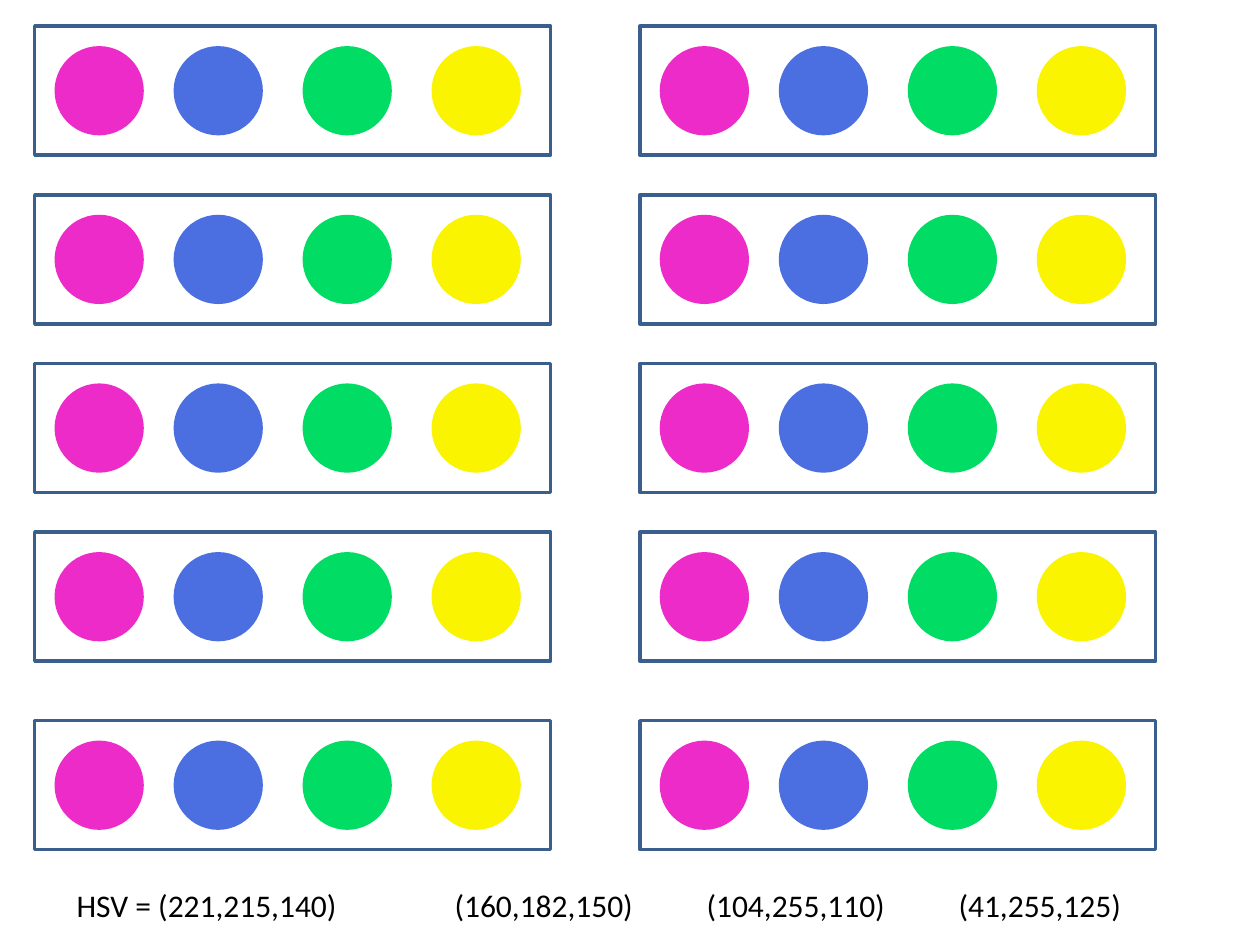
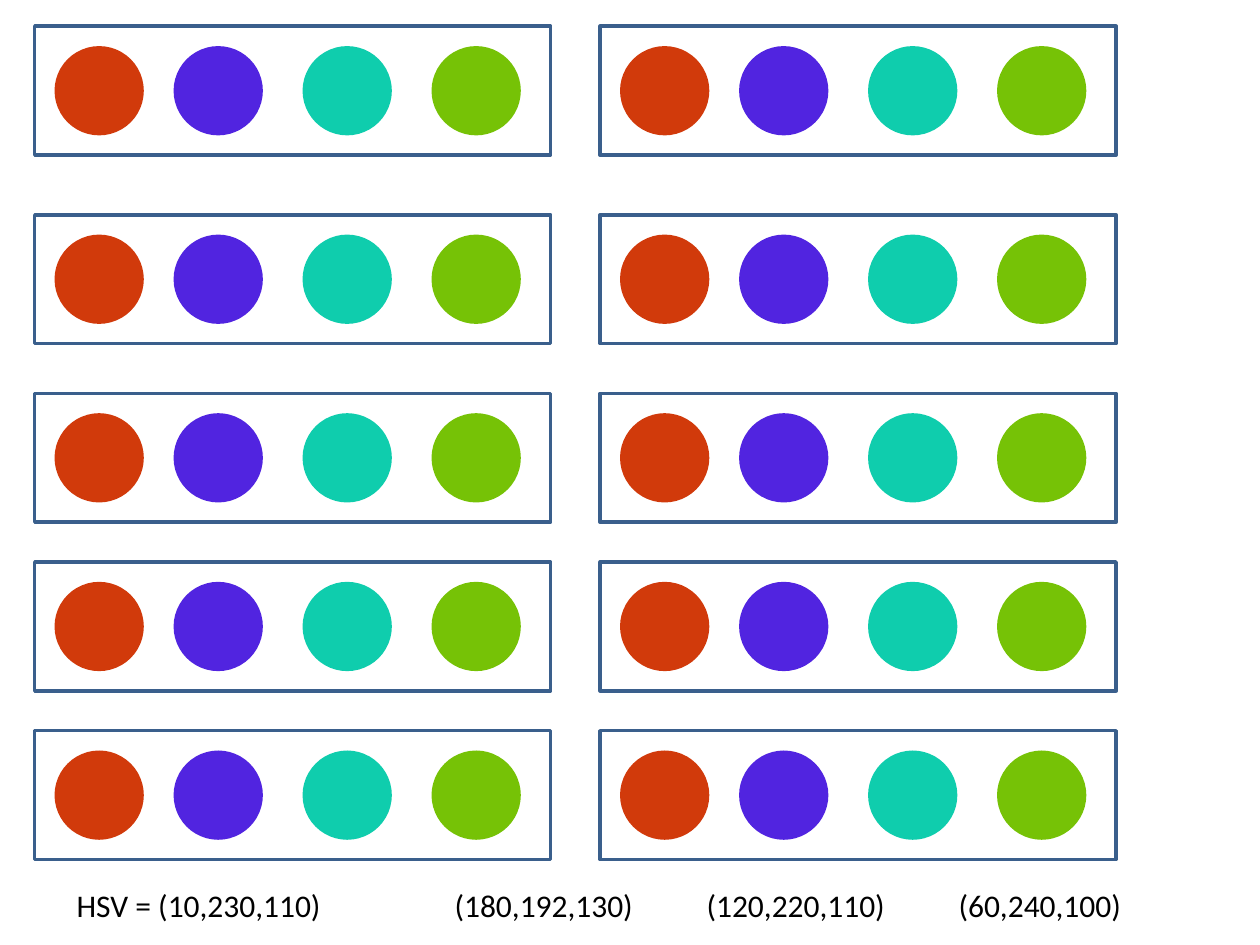
"""Builds two sheets of colour strips, each with the HSV values of its four dots."""
from pptx import Presentation
from pptx.dml.color import RGBColor
from pptx.enum.shapes import MSO_SHAPE
from pptx.enum.text import MSO_AUTO_SIZE
from pptx.util import Cm, Inches, Pt

FRAME_BLUE = RGBColor(0x3A, 0x5F, 0x8C)
BLACK = RGBColor(0x00, 0x00, 0x00)
MAGENTA = RGBColor(0xED, 0x2B, 0xC8)
BLUE = RGBColor(0x4B, 0x6F, 0xE1)
GREEN = RGBColor(0x00, 0xDC, 0x64)
YELLOW = RGBColor(0xFA, 0xF4, 0x00)
RED = RGBColor(0xD1, 0x3A, 0x0B)
VIOLET = RGBColor(0x51, 0x24, 0xE0)
TURQUOISE = RGBColor(0x0F, 0xCD, 0xAD)
LIME = RGBColor(0x76, 0xC2, 0x06)

UNIT = Cm(0.2)
LEFT, TOP = Cm(0.7), Cm(0.53)
FRAME_WIDTH, FRAME_HEIGHT = 52 * UNIT, 13 * UNIT
DOT_SIZE, DOT_INSET = 9 * UNIT, 2 * UNIT
DOT_STEPS = (2, 14, 27, 40)

SHEETS = (
    {
        "colours": (MAGENTA, BLUE, GREEN, YELLOW),
        "columns": (0, 61),
        "rows": (0, 17, 34, 51, 70),
        "caption": "HSV = (221,215,140)\t(160,182,150)\t(104,255,110)\t(41,255,125)",
    },
    {
        "colours": (RED, VIOLET, TURQUOISE, LIME),
        "columns": (0, 57),
        "rows": (0, 19, 37, 54, 71),
        "caption": "HSV = (10,230,110)\t\t(180,192,130)\t(120,220,110)\t(60,240,100)",
    },
)


def add_strip(page, left, top, colours):
    """Adds one framed strip of dots as a group."""
    strip = page.shapes.add_group_shape()
    frame = strip.shapes.add_shape(MSO_SHAPE.RECTANGLE, left, top, FRAME_WIDTH, FRAME_HEIGHT)
    frame.shadow.inherit = False
    frame.fill.background()
    frame.line.color.rgb = FRAME_BLUE
    frame.line.width = Pt(2)
    for step, colour in zip(DOT_STEPS, colours):
        dot = strip.shapes.add_shape(
            MSO_SHAPE.OVAL, left + step * UNIT, top + DOT_INSET, DOT_SIZE, DOT_SIZE)
        dot.shadow.inherit = False
        dot.fill.solid()
        dot.fill.fore_color.rgb = colour
        dot.line.fill.background()


deck = Presentation()
deck.slide_width, deck.slide_height = Inches(10), Inches(7.5)

for sheet in SHEETS:
    page = deck.slides.add_slide(deck.slide_layouts[6])
    for column in sheet["columns"]:
        for row in sheet["rows"]:
            add_strip(page, LEFT + column * UNIT, TOP + row * UNIT, sheet["colours"])

    box = page.shapes.add_textbox(Inches(0.51), Inches(6.98), Inches(8.57), Inches(0.4))
    box.text_frame.word_wrap = False
    box.text_frame.auto_size = MSO_AUTO_SIZE.SHAPE_TO_FIT_TEXT
    para = box.text_frame.paragraphs[0]
    para.text = sheet["caption"]
    para._p.get_or_add_pPr().set("defTabSz", str(Inches(1)))
    span = para.runs[0]
    span.font.name = "Calibri"
    span.font.size = Pt(18)
    span.font.color.rgb = BLACK

deck.save("out.pptx")
